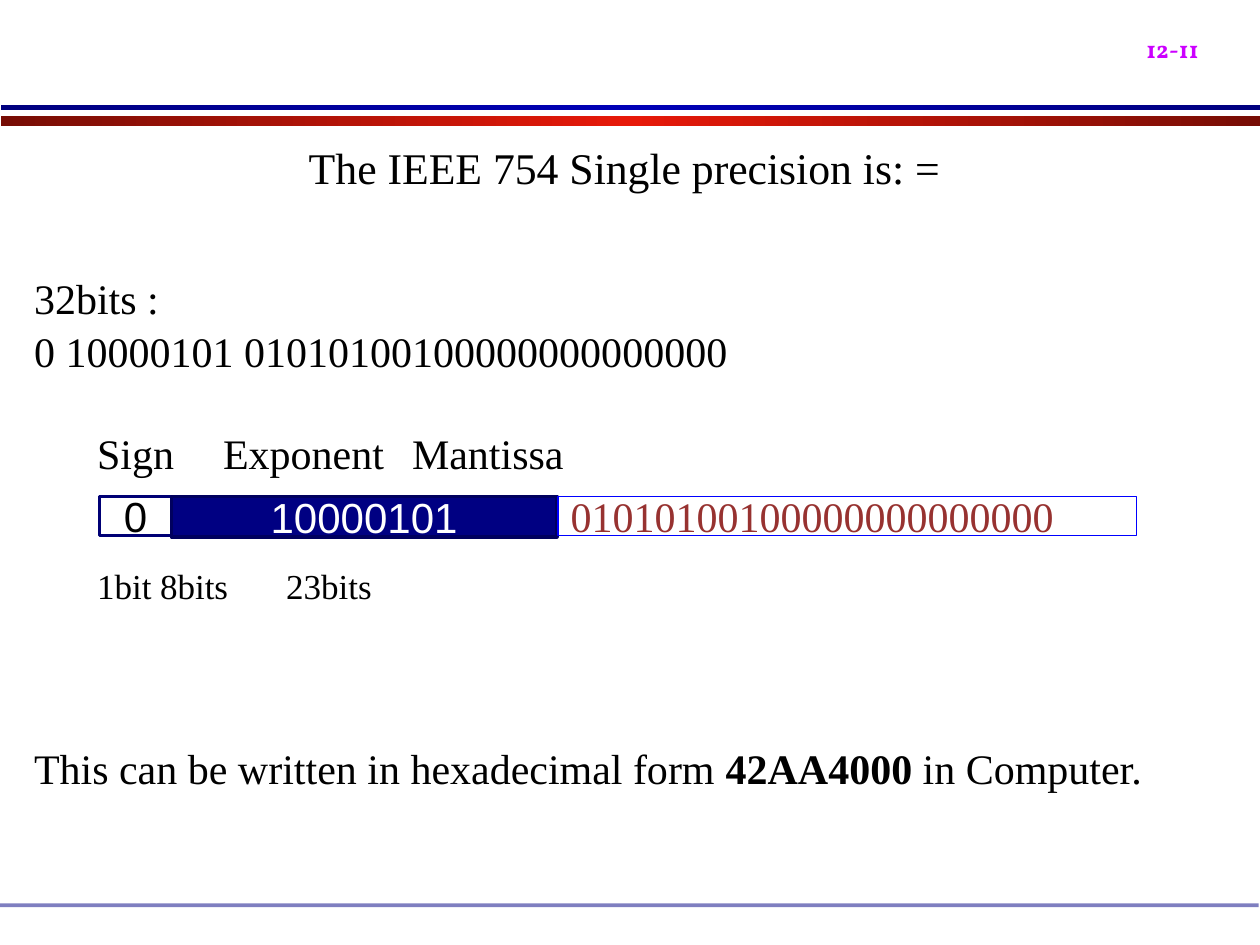
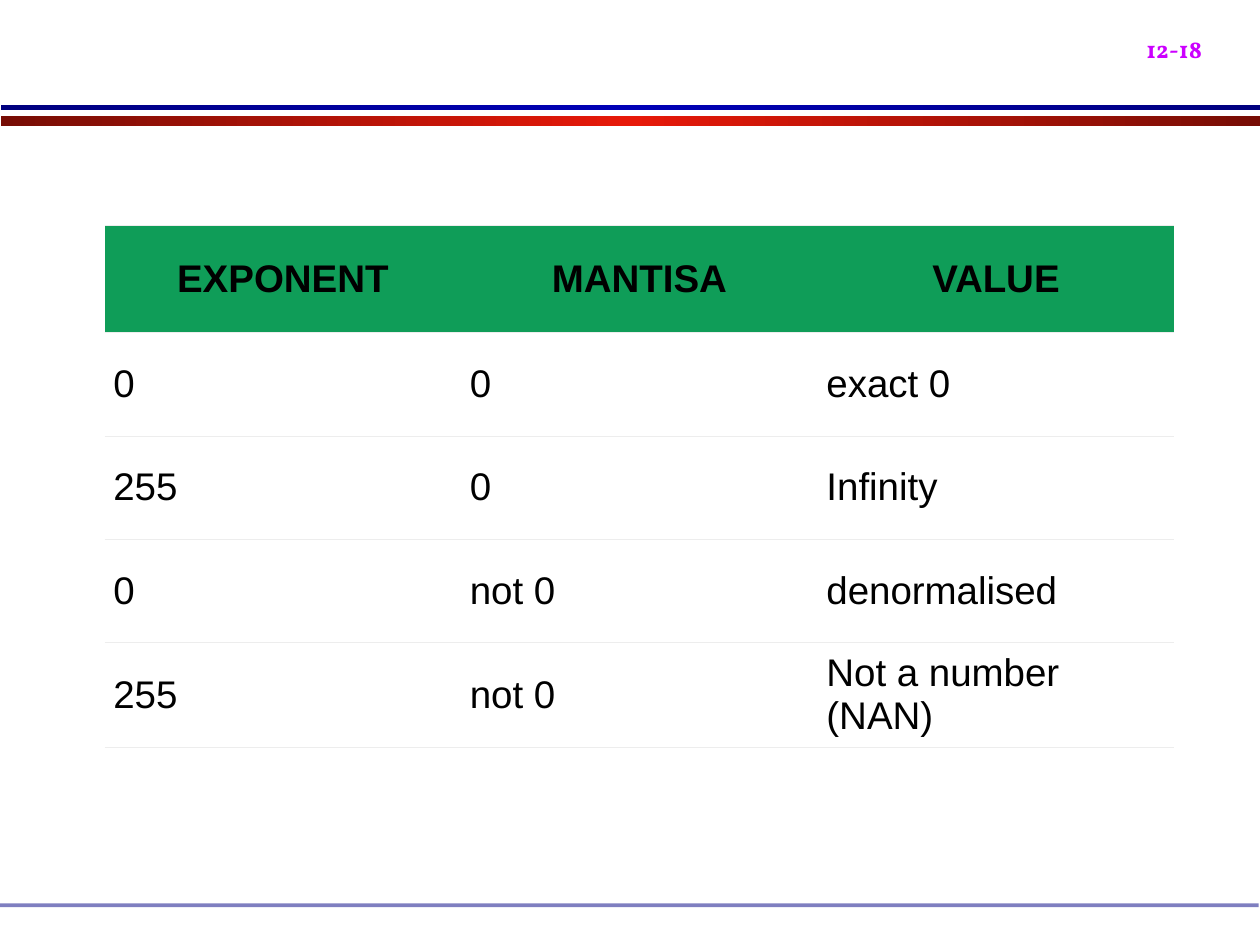
from dataclasses import dataclass

from lxml import etree
from pptx import Presentation
from pptx.dml.color import RGBColor
from pptx.enum.shapes import MSO_SHAPE
from pptx.enum.text import MSO_ANCHOR, MSO_AUTO_SIZE, PP_ALIGN
from pptx.oxml.ns import qn
from pptx.util import Inches, Pt

RECTANGLE = MSO_SHAPE.RECTANGLE
LEFT, CENTER = PP_ALIGN.LEFT, PP_ALIGN.CENTER
TOP, MIDDLE, BOTTOM = MSO_ANCHOR.TOP, MSO_ANCHOR.MIDDLE, MSO_ANCHOR.BOTTOM
TITLE_AND_CONTENT, BLANK = 1, 6


@dataclass(frozen=True)
class Theme:
    serif: str = "Times New Roman"
    sans: str = "Arial"
    number_font: str = "Vollkorn"
    title_size: int = 25
    body_size: int = 24
    table_size: int = 22
    small_size: int = 20
    black: str = "000000"
    white: str = "FFFFFF"
    navy: str = "000082"
    sign_edge: str = "000075"
    exponent_edge: str = "00005E"
    mantissa_edge: str = "0000FF"
    mantissa_text: str = "973230"
    page_number: str = "CC00FF"
    header_fill: str = "0F9D58"
    rule: str = "EDEDED"
    red_band: tuple = ("770D05", "E71909", "770D05")
    blue_band: tuple = ("00007F", "0000B6", "00007F")


THEME = Theme()

TITLE = "The IEEE 754 Single precision is: ="
BODY = [
    dict(runs=[("32bits :", False)]),
    dict(runs=[("0 10000101 01010100100000000000000", False)], before=1.5),
    dict(runs=[("\tSign\tExponent\tMantissa", False)], before=29.5,
         tabs=(0.67, 2.36, 5.33)),
    dict(runs=[("\t1bit\t8bits\t23bits", False)], before=49.5,
         tabs=(0.63, 1.99, 5), size=THEME.small_size),
    dict(runs=[("This can be written in hexadecimal form ", False),
               ("42AA4000", True), (" in Computer.", False)], before=78),
]
BIT_FIELDS = [
    ("0", (0.79, 3.94, 0.57, 0.31), THEME.white, THEME.sign_edge, THEME.black),
    ("10000101", (1.36, 3.94, 3.06, 0.32), THEME.navy, THEME.exponent_edge, THEME.white),
]
MANTISSA = "01010100100000000000000"
SPECIAL_VALUES = [
    ("EXPONENT", "MANTISA", "VALUE"),
    ("0", "0", "exact 0"),
    ("255", "0", "Infinity"),
    ("0", "not 0", "denormalised"),
    ("255", "not 0", "Not a number (NAN)"),
]
COLUMN_WIDTH, HEADER_HEIGHT, ROW_HEIGHT = 2.83, 0.85, 0.82


def rgb(color):
    return RGBColor.from_string(color)


def write(paragraph, text, font=THEME.serif, size=THEME.body_size,
          color=THEME.black, bold=False, align=LEFT, baseline=None):
    paragraph.alignment = align
    run = paragraph.add_run()
    run.text = text
    run.font.name, run.font.size, run.font.bold = font, Pt(size), bold
    run.font.color.rgb = rgb(color)
    if baseline:
        run.font._element.set("baseline", str(baseline * 1000))


def place(shape, box):
    shape.left, shape.top, shape.width, shape.height = map(Inches, box)


def frame_text(shape, anchor=TOP, grow=False):
    frame = shape.text_frame
    frame.word_wrap = True
    frame.auto_size = MSO_AUTO_SIZE.SHAPE_TO_FIT_TEXT if grow else MSO_AUTO_SIZE.NONE
    frame.vertical_anchor = anchor
    return frame


def add_text(slide, text, box, **text_format):
    shape = slide.shapes.add_textbox(*map(Inches, box))
    paragraph = frame_text(shape, grow=True).paragraphs[0]
    write(paragraph, text, **text_format)
    return paragraph


def add_rectangle(slide, box, fill=None, edge=None, edge_width=2):
    shape = slide.shapes.add_shape(RECTANGLE, *map(Inches, box))
    shape.shadow.inherit = False
    if fill:
        shape.fill.solid()
        shape.fill.fore_color.rgb = rgb(fill)
    else:
        shape.fill.background()
    if edge:
        shape.line.color.rgb = rgb(edge)
        shape.line.width = Pt(edge_width)
    else:
        shape.line.fill.background()
    return shape


def add_band(slide, box, colors):
    band = add_rectangle(slide, box)
    band.fill.gradient()
    band.fill.gradient_angle = 0
    stops = band._element.spPr.find(".//" + qn("a:gsLst"))
    for stop in list(stops):
        stops.remove(stop)
    for index, color in enumerate(colors):
        stop = etree.SubElement(stops, qn("a:gs"), pos=str(index * 50000))
        etree.SubElement(stop, qn("a:srgbClr"), val=color)


def add_slide(deck, layout, number):
    slide = deck.slides.add_slide(deck.slide_layouts[layout])
    add_band(slide, (0.01, 0.92, 9.99, 0.08), THEME.red_band)
    add_band(slide, (0.01, 0.83, 9.99, 0.04), THEME.blue_band)
    footer = add_rectangle(slide, (0, 7.17, 9.99, 0.03), THEME.navy)
    footer_color = footer._element.spPr.find(".//" + qn("a:srgbClr"))
    etree.SubElement(footer_color, qn("a:alpha"), val="50000")
    paragraph = add_text(slide, number, (9, 0, 1.08, 0.56), font=THEME.number_font,
                         color=THEME.page_number, bold=True, baseline=-25)
    paragraph.space_before = Pt(15)
    return slide


def write_body_line(paragraph, runs, before=0, tabs=(), size=THEME.body_size):
    paragraph.space_before = Pt(before)
    properties = paragraph._p.get_or_add_pPr()
    properties.set("marL", "0")
    properties.set("indent", "0")
    etree.SubElement(properties, qn("a:buNone"))
    if tabs:
        stops = etree.SubElement(properties, qn("a:tabLst"))
        for tab in tabs:
            etree.SubElement(stops, qn("a:tab"), pos=str(Inches(tab)), algn="l")
    for text, bold in runs:
        write(paragraph, text, size=size, bold=bold)


def build_format_slide(deck):
    slide = add_slide(deck, TITLE_AND_CONTENT, "12-11")
    title, body = slide.shapes.title, slide.placeholders[1]
    place(title, (0.69, 1.24, 8.63, 0.75))
    title_frame = frame_text(title, BOTTOM)
    title_frame.margin_top = 0
    title_frame.margin_right, title_frame.margin_bottom = Inches(0.2), Inches(0.46)
    write(title_frame.paragraphs[0], TITLE, size=THEME.title_size, align=CENTER)

    place(body, (0.17, 1.08, 9.5, 6))
    body_frame = frame_text(body)
    body_frame.margin_top = Inches(1.08)
    for index, line in enumerate(BODY):
        paragraph = body_frame.add_paragraph() if index else body_frame.paragraphs[0]
        write_body_line(paragraph, **line)

    for bits, box, fill, edge, color in BIT_FIELDS:
        field = add_rectangle(slide, box, fill, edge)
        write(frame_text(field, MIDDLE).paragraphs[0], bits, font=THEME.sans,
              color=color, align=CENTER)
    add_text(slide, MANTISSA, (4.43, 3.84, 4.21, 0.5), color=THEME.mantissa_text)
    add_rectangle(slide, (4.43, 3.94, 4.59, 0.31), edge=THEME.mantissa_edge, edge_width=1)


def set_borders(cell):
    properties = cell._tc.get_or_add_tcPr()
    for index, side in enumerate(("lnL", "lnR", "lnT", "lnB")):
        border = etree.Element(qn("a:" + side), w=str(Pt(0.23)))
        if side in ("lnT", "lnB"):
            fill = etree.SubElement(border, qn("a:solidFill"))
            etree.SubElement(fill, qn("a:srgbClr"), val=THEME.rule)
        else:
            etree.SubElement(border, qn("a:noFill"))
        properties.insert(index, border)


def build_values_slide(deck):
    slide = add_slide(deck, BLANK, "12-18")
    row_count, column_count = len(SPECIAL_VALUES), len(SPECIAL_VALUES[0])
    height = HEADER_HEIGHT + ROW_HEIGHT * (row_count - 1)
    box = (0.83, 1.79, COLUMN_WIDTH * column_count, height)
    table = slide.shapes.add_table(row_count, column_count, *map(Inches, box)).table
    for column in table.columns:
        column.width = Inches(COLUMN_WIDTH)
    for row_index, values in enumerate(SPECIAL_VALUES):
        header = row_index == 0
        table.rows[row_index].height = Inches(HEADER_HEIGHT if header else ROW_HEIGHT)
        for column_index, value in enumerate(values):
            cell = table.cell(row_index, column_index)
            cell.vertical_anchor = MIDDLE
            cell.margin_left = cell.margin_right = Inches(0.04 if header else 0.07)
            cell.fill.solid()
            cell.fill.fore_color.rgb = rgb(THEME.header_fill if header else THEME.white)
            set_borders(cell)
            write(cell.text_frame.paragraphs[0], value, font=THEME.sans,
                  size=THEME.table_size, bold=header, align=CENTER if header else LEFT)


def main():
    deck = Presentation()
    deck.slide_width, deck.slide_height = Inches(10), Inches(7.5)
    build_format_slide(deck)
    build_values_slide(deck)
    deck.save("out.pptx")


if __name__ == "__main__":
    main()
